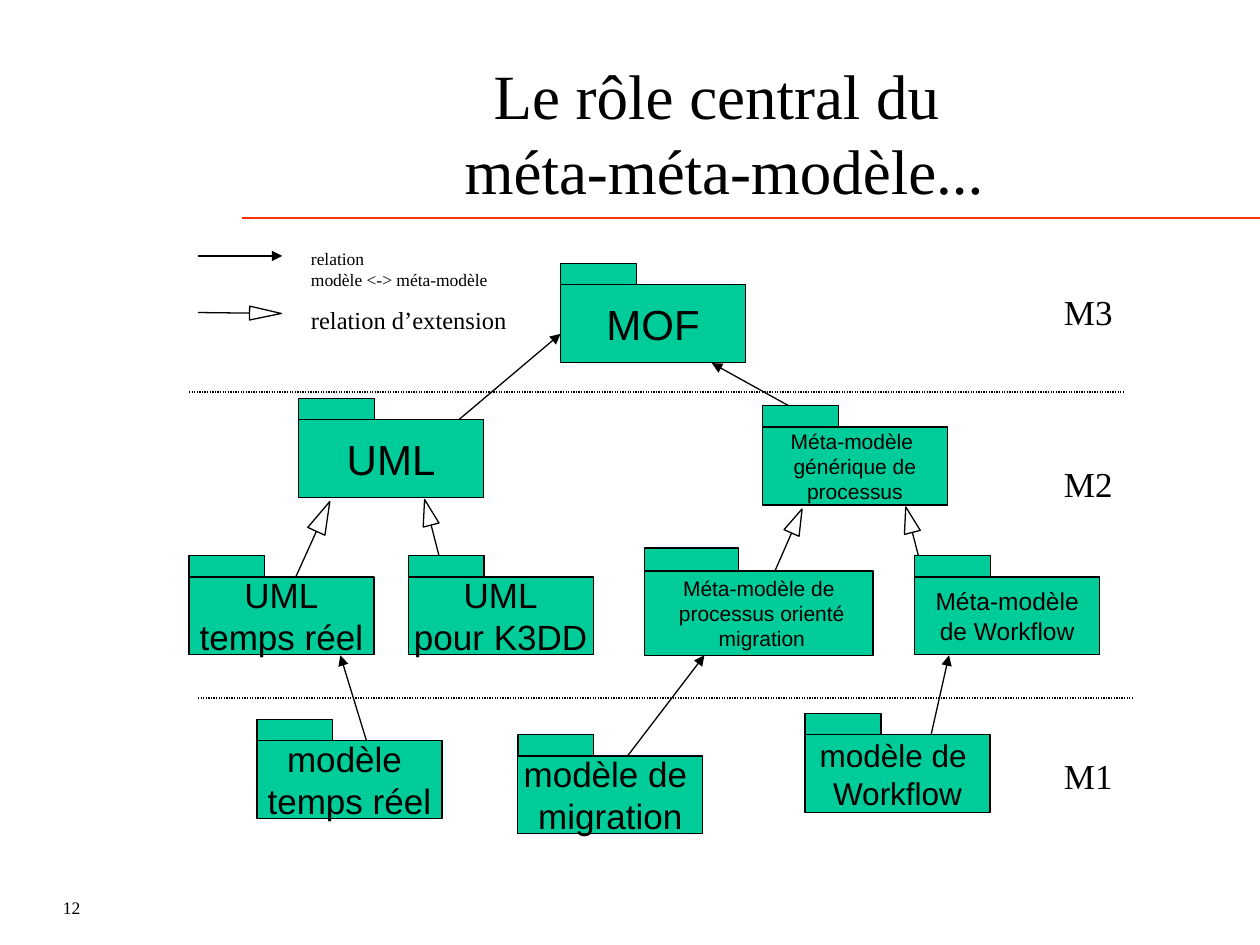
from math import atan2, cos, degrees, sin

from lxml.etree import SubElement
from pptx import Presentation
from pptx.dml.color import RGBColor
from pptx.enum.dml import MSO_LINE
from pptx.enum.shapes import MSO_CONNECTOR, MSO_SHAPE
from pptx.enum.text import MSO_ANCHOR as Anchor, PP_ALIGN as Align
from pptx.oxml.ns import qn
from pptx.util import Cm, Pt

BLACK, GREEN, RED = "000000", "00CC99", "FF3300"
SERIF, SANS = "Times New Roman", "Arial"
PACKAGE_WIDTH, PACKAGE_HEIGHT = 3.73, 2.0

# left, top, text, text size
META_MODELS = [
    (11.3, 5.31, "MOF", 24),
    (6.02, 8.03, "UML", 24),
    (15.37, 8.18, "Méta-modèle \ngénérique de\nprocessus", 12),
    (3.81, 11.2, "UML\ntemps réel", 20),
    (8.23, 11.2, "UML\npour K3DD", 20),
    (18.44, 11.2, "Méta-modèle\nde Workflow", 14),
]
MODELS = [
    (5.18, 14.5, "modèle \ntemps réel", 20),
    (10.44, 14.81, "modèle de \nmigration", 20),
    (16.23, 14.38, "modèle de \nWorkflow", 18),
]
# start, tip
RELATIONS = [
    ((7.39, 14.94), (6.86, 13.21)),
    ((12.65, 15.24), (14.2, 13.21)),
    ((18.77, 14.81), (19.13, 13.21)),
    ((9.25, 8.46), (11.3, 6.73)),
    ((15.9, 8.18), (14.35, 7.32)),
]
# start, tip, head length, head width
EXTENSIONS = [
    ((15.6, 11.56), (16.17, 10.26), 0.53, 0.33),
    ((18.62, 11.61), (18.26, 10.22), 0.53, 0.33),
    ((5.94, 11.68), (6.65, 10.11), 0.66, 0.38),
    ((8.92, 11.48), (8.56, 10.07), 0.53, 0.33),
]


def color(value):
    return RGBColor.from_string(value)


def style_text(frame, size, font, align):
    for paragraph in frame.paragraphs:
        paragraph.alignment = align
        for run in paragraph.runs:
            run.font.size = Pt(size)
            run.font.name = font
            run.font.color.rgb = color(BLACK)


def add_label(slide, left, top, width, height, text, size, align=Align.LEFT):
    label = slide.shapes.add_textbox(Cm(left), Cm(top), Cm(width), Cm(height))
    frame = label.text_frame
    frame.word_wrap = True
    frame.text = text
    style_text(frame, size, SERIF, align)
    return label


def add_outlined(slide, kind, left, top, width, height, fill=None):
    shape = slide.shapes.add_shape(kind, Cm(left), Cm(top), Cm(width), Cm(height))
    shape.shadow.inherit = False
    shape.line.color.rgb = color(BLACK)
    shape.line.width = Pt(0.75)
    if fill:
        shape.fill.solid()
        shape.fill.fore_color.rgb = color(fill)
    else:
        shape.fill.background()
    return shape


def add_line(slide, start, end, stroke=BLACK, width=0.75):
    line = slide.shapes.add_connector(
        MSO_CONNECTOR.STRAIGHT, *[Cm(value) for value in (*start, *end)])
    line.line.color.rgb = color(stroke)
    line.line.width = Pt(width)
    SubElement(line._element.spPr, qn("a:effectLst"))
    return line


def add_relation(slide, start, tip):
    """Line with a filled arrowhead: model to meta-model."""
    arrow = add_line(slide, start, tip)
    SubElement(arrow.line._get_or_add_ln(), qn("a:tailEnd"), type="triangle")


def add_extension(slide, start, tip, length, width):
    """Line with a hollow head turned towards its tip."""
    angle = atan2(tip[0] - start[0], start[1] - tip[1])

    def behind_tip(distance):
        return tip[0] - distance * sin(angle), tip[1] + distance * cos(angle)

    add_line(slide, start, behind_tip(length))
    x, y = behind_tip(length / 2)
    head = add_outlined(slide, MSO_SHAPE.ISOSCELES_TRIANGLE,
                        x - width / 2, y - length / 2, width, length)
    head.rotation = degrees(angle)


def add_package(slide, left, top, text, size,
                width=PACKAGE_WIDTH, height=PACKAGE_HEIGHT):
    tab_width, tab_height = 0.41 * width, 0.215 * height
    body = add_outlined(slide, MSO_SHAPE.RECTANGLE, left, top + tab_height,
                        width, height - tab_height, GREEN)
    add_outlined(slide, MSO_SHAPE.RECTANGLE, left, top, tab_width, tab_height, GREEN)
    frame = body.text_frame
    frame.word_wrap = False
    frame.vertical_anchor = Anchor.MIDDLE
    frame.text = text
    style_text(frame, size, SANS, Align.CENTER)


def add_heading(slide, left, top, width, height):
    title = slide.shapes.title
    title.left, title.top, title.width, title.height = (
        Cm(value) for value in (left, top, width, height))
    frame = title.text_frame
    frame.text = "Le rôle central du \vméta-méta-modèle..."
    frame.vertical_anchor = Anchor.MIDDLE
    style_text(frame, 36, SERIF, Align.CENTER)
    add_line(slide, (left + 1.07, top + 3.33), (left + width, top + 3.33), RED, 1)


def add_legend(slide, left, top):
    text_left, text_width = left + 2.03, 4.78
    add_relation(slide, (left, top + 0.28), (left + 1.7, top + 0.28))
    add_label(slide, text_left, top, text_width, 1.12,
              "relation \vmodèle <-> méta-modèle", 10)
    add_extension(slide, (left, top + 1.42), (left + 1.68, top + 1.44), 0.64, 0.28)
    add_label(slide, text_left, top + 1.14, text_width, 0.86,
              "relation d’extension", 14)


def add_levels(slide, left, width):
    for indent, y in ((0, 7.9), (0.18, 14.07)):
        divider = add_line(slide, (left + indent, y), (left + indent + width, y))
        divider.line.dash_style = MSO_LINE.ROUND_DOT
    for level, y in (("M3", 5.74), ("M2", 9.19), ("M1", 15.09)):
        add_label(slide, left + width - 1.52, y, 1.52, 1.12, level, 20, Align.RIGHT)


def add_diagram(slide):
    for extension in EXTENSIONS:
        add_extension(slide, *extension)
    for package in META_MODELS + MODELS:
        add_package(slide, *package)
    add_package(slide, 13, 11.05, "Méta-modèle de\n processus orienté\n migration", 12,
                width=4.6, height=2.16)
    for relation in RELATIONS:
        add_relation(slide, *relation)


def main():
    deck = Presentation()
    deck.slide_width, deck.slide_height = Cm(25.4), Cm(19.05)
    slide = deck.slides.add_slide(deck.slide_layouts[5])
    add_heading(slide, 3.81, 1.07, 21.59, 3.18)
    add_levels(slide, 3.81, 18.87)
    add_diagram(slide)
    add_legend(slide, 3.99, 4.88)
    page_number = add_label(slide, 1.02, 17.78, 5.28, 0.86, "12", 10)
    page_number.text_frame.vertical_anchor = Anchor.BOTTOM
    deck.save("out.pptx")


if __name__ == "__main__":
    main()
